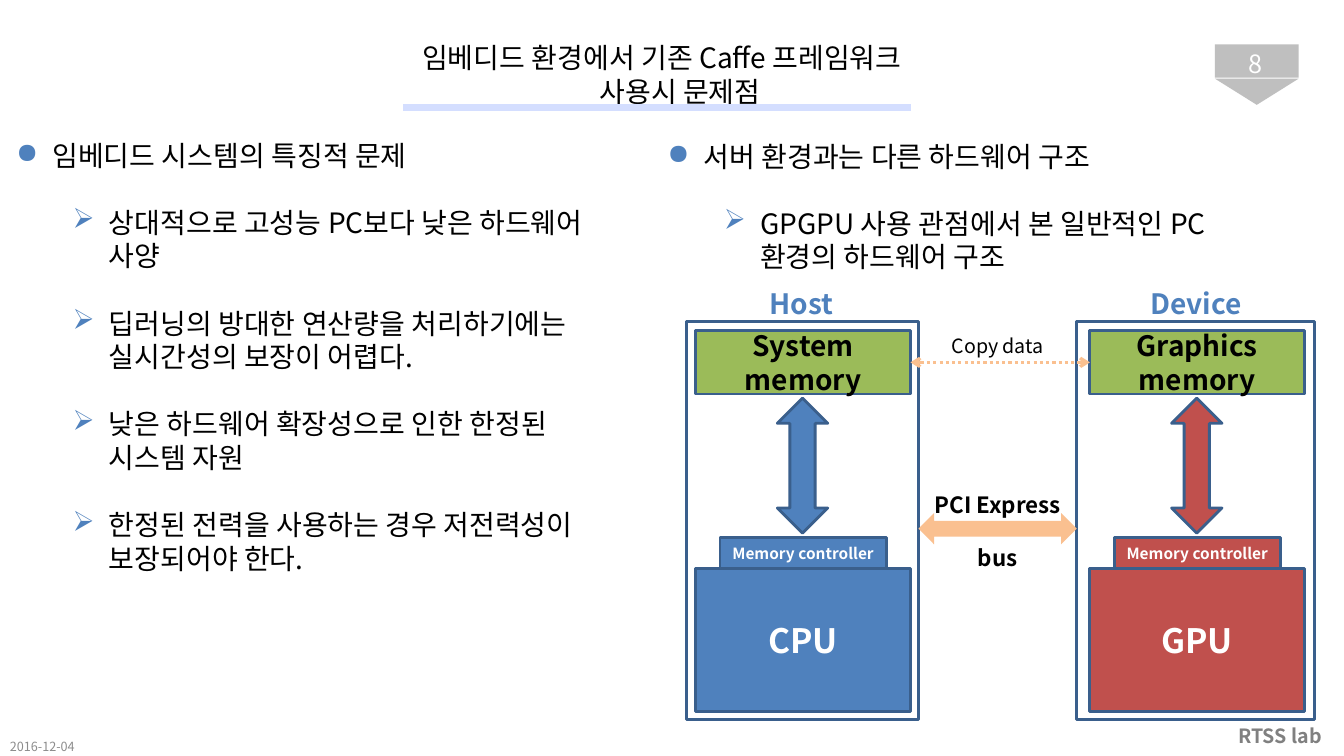
from dataclasses import dataclass

from lxml import etree
from pptx import Presentation
from pptx.dml.color import RGBColor
from pptx.enum.dml import MSO_LINE
from pptx.enum.shapes import MSO_CONNECTOR, MSO_SHAPE
from pptx.enum.text import MSO_ANCHOR, MSO_AUTO_SIZE, PP_ALIGN
from pptx.oxml.ns import qn
from pptx.util import Inches, Pt

RECT = MSO_SHAPE.RECTANGLE
TRI = MSO_SHAPE.ISOSCELES_TRIANGLE
UPDOWN = MSO_SHAPE.UP_DOWN_ARROW
SIDEWAYS = MSO_SHAPE.LEFT_RIGHT_ARROW
STRAIGHT = MSO_CONNECTOR.STRAIGHT
DOTS = MSO_LINE.ROUND_DOT
MIDDLE, TOP = MSO_ANCHOR.MIDDLE, MSO_ANCHOR.TOP
CENTER, LEFT = PP_ALIGN.CENTER, PP_ALIGN.LEFT
NO_FIT = MSO_AUTO_SIZE.NONE

FACE = "Noto Sans CJK KR"
BLACK, WHITE, GRAY = "000000", "FFFFFF", "BFBFBF"
BLUE, RED, GREEN = "4F81BD", "C0504D", "9BBB59"
EDGE, PEACH = "3A5F8C", "FAC090"
LEAD = 1.2


@dataclass
class Box:
    left: float
    top: float
    width: float
    height: float


@dataclass
class Style:
    size: float
    color: str = BLACK
    bold: bool = False
    align: PP_ALIGN = CENTER
    anchor: MSO_ANCHOR = MIDDLE
    gap: float = 0


@dataclass
class Side:
    name: str
    frame: Box
    left: float
    memory: list[str]
    chip: str
    color: str


@dataclass
class Label:
    box: Box
    lines: list[str]
    style: Style


@dataclass
class Outline:
    box: Box
    head: str
    points: list[str]


def rgb(code: str) -> RGBColor:
    return RGBColor.from_string(code)


def place(shape, box: Box) -> None:
    shape.left, shape.top = Inches(box.left), Inches(box.top)
    shape.width, shape.height = Inches(box.width), Inches(box.height)


def add_run(para, text: str, style: Style) -> None:
    run = para.add_run()
    run.text = text
    font = run.font
    font.size, font.bold, font.name = Pt(style.size), style.bold, FACE
    font.color.rgb = rgb(style.color)
    etree.SubElement(run._r.rPr, qn("a:ea")).set("typeface", FACE)


def write(frame, lines: list[str], style: Style) -> None:
    frame.word_wrap = True
    frame.vertical_anchor = style.anchor
    for i, line in enumerate(lines):
        para = frame.add_paragraph() if i else frame.paragraphs[0]
        para.alignment = style.align
        if i and style.gap:
            para.space_before = Pt(style.gap)
        add_run(para, line, style)


def add_text(slide, label: Label) -> None:
    box = slide.shapes.add_textbox(0, 0, 0, 0)
    place(box, label.box)
    write(box.text_frame, label.lines, label.style)


def add_block(slide, kind: MSO_SHAPE, box: Box, fill: str, edge: str = ""):
    shape = slide.shapes.add_shape(kind, 0, 0, 0, 0)
    place(shape, box)
    shape.shadow.inherit = False
    shape.fill.solid()
    shape.fill.fore_color.rgb = rgb(fill)
    if edge:
        shape.line.color.rgb = rgb(edge)
        shape.line.width = Pt(2)
    else:
        shape.line.fill.background()
    return shape


def add_line(slide, start: tuple, end: tuple, color: str, width: float):
    line = slide.shapes.add_connector(STRAIGHT, *map(Inches, start + end))
    line.line.color.rgb = rgb(color)
    line.line.width = Pt(width)
    etree.SubElement(line._element.spPr, qn("a:effectLst"))
    return line


def indent(para, left: float) -> None:
    props = para._p.get_or_add_pPr()
    props.set("marL", str(Inches(left)))
    props.set("indent", str(-Inches(0.36)))


def add_bullet(para, mark: str) -> None:
    props = para._p.get_or_add_pPr()
    color = etree.SubElement(props, qn("a:buClr"))
    etree.SubElement(color, qn("a:srgbClr")).set("val", BLUE)
    etree.SubElement(props, qn("a:buChar")).set("char", mark)


def add_list(slide, part: Outline) -> None:
    box = slide.shapes.add_textbox(0, 0, 0, 0)
    place(box, part.box)
    frame = box.text_frame
    frame.word_wrap = True
    frame.margin_left = frame.margin_right = Inches(0.11)
    frame.margin_top = frame.margin_bottom = Inches(0.06)
    style = Style(20)
    for i, text in enumerate([part.head] + part.points):
        para = frame.add_paragraph() if i else frame.paragraphs[0]
        if i:
            para.level = 1
            para.space_before = Pt(20 * LEAD)
        indent(para, 0.92 if i else 0.36)
        add_bullet(para, "➢" if i else "●")
        add_run(para, text, style)


def add_side(slide, side: Side):
    x = side.left
    add_block(slide, RECT, side.frame, WHITE, EDGE)
    memory = add_block(slide, RECT, Box(x, 3.28, 2.13, 0.63), GREEN, EDGE)
    write(memory.text_frame, side.memory, Style(20, bold=True))
    chip = add_block(slide, RECT, Box(x, 5.64, 2.13, 1.42), side.color, EDGE)
    write(chip.text_frame, [side.chip], Style(24, WHITE, True))
    add_block(slide, UPDOWN, Box(x + 0.81, 3.95, 0.5, 1.34), side.color, EDGE)
    port = add_block(slide, RECT, Box(x + 0.24, 5.33, 1.65, 0.31), side.color, EDGE)
    write(port.text_frame, ["Memory controller"], Style(11, WHITE, True))
    name = Box(x + 0.46, 2.79, 1.18, 0.44)
    add_text(slide, Label(name, [side.name], Style(20, BLUE, True, anchor=TOP)))
    return memory


def add_title(slide) -> None:
    title = slide.shapes.title
    place(title, Box(2.05, 0.44, 9.03, 0.59))
    frame = title.text_frame
    frame.auto_size = NO_FIT
    frame.vertical_anchor = MIDDLE
    para = frame.paragraphs[0]
    para.alignment = CENTER
    indent(para, 0.36)
    style = Style(20)
    add_run(para, "임베디드 환경에서 기존 Caffe 프레임워크", style)
    para.add_line_break()
    add_run(para, "사용시 문제점", style)


LISTS = [
    Outline(Box(0.05, 1.31, 5.98, 5.16), "임베디드 시스템의 특징적 문제", [
        "상대적으로 고성능 PC보다 낮은 하드웨어 사양",
        "딥러닝의 방대한 연산량을 처리하기에는 실시간성의 보장이 어렵다.",
        "낮은 하드웨어 확장성으로 인한 한정된 시스템 자원",
        "한정된 전력을 사용하는 경우 저전력성이 보장되어야 한다.",
    ]),
    Outline(Box(6.51, 1.32, 5.98, 2.13), "서버 환경과는 다른 하드웨어 구조", [
        "GPGPU 사용 관점에서 본 일반적인 PC 환경의 하드웨어 구조",
    ]),
]
SIDES = [
    Side("Host", Box(6.81, 3.19, 2.3, 3.95), 6.9, ["System memory"], "CPU", BLUE),
    Side("Device", Box(10.68, 3.19, 2.36, 3.95), 10.81,
         ["Graphics", "memory"], "GPU", RED),
]
LABELS = [
    Label(Box(12.05, 0.48, 0.81, 0.3), ["8"], Style(18, WHITE)),
    Label(Box(12.05, 7.1, 1.29, 0.4), ["RTSS lab"], Style(14, "808080", True)),
    Label(Box(0, 7.3, 1.05, 0.21), ["2016-12-04"], Style(9, "8C8C8C", align=LEFT)),
    Label(Box(9.11, 4.82, 1.57, 1.18), ["PCI Express", "bus"],
          Style(16, bold=True, anchor=TOP, gap=16 * LEAD)),
    Label(Box(9.34, 3.26, 1.26, 0.34), ["Copy data"],
          Style(14, align=LEFT, anchor=TOP)),
]


def main() -> None:
    deck = Presentation()
    deck.slide_width, deck.slide_height = Inches(13.33), Inches(7.5)
    slide = deck.slides.add_slide(deck.slide_layouts[5])
    add_title(slide)
    add_block(slide, RECT, Box(12.05, 0.44, 0.83, 0.33), GRAY)
    add_block(slide, TRI, Box(12.05, 0.78, 0.83, 0.26), GRAY).rotation = 180
    add_line(slide, (4, 1.07), (9.04, 1.07), "D4DEFF", 5)
    for part in LISTS:
        add_list(slide, part)
    host, device = [add_side(slide, side) for side in SIDES]
    add_block(slide, SIDEWAYS, Box(9.11, 5.09, 1.57, 0.31), PEACH)
    link = add_line(slide, (9.03, 3.59), (10.81, 3.59), PEACH, 2.25)
    link.begin_connect(host, 3)
    link.end_connect(device, 1)
    link.line.dash_style = DOTS
    for end in ("a:headEnd", "a:tailEnd"):
        etree.SubElement(link.line._ln, qn(end)).set("type", "arrow")
    for label in LABELS:
        add_text(slide, label)
    deck.save("out.pptx")


if __name__ == "__main__":
    main()
